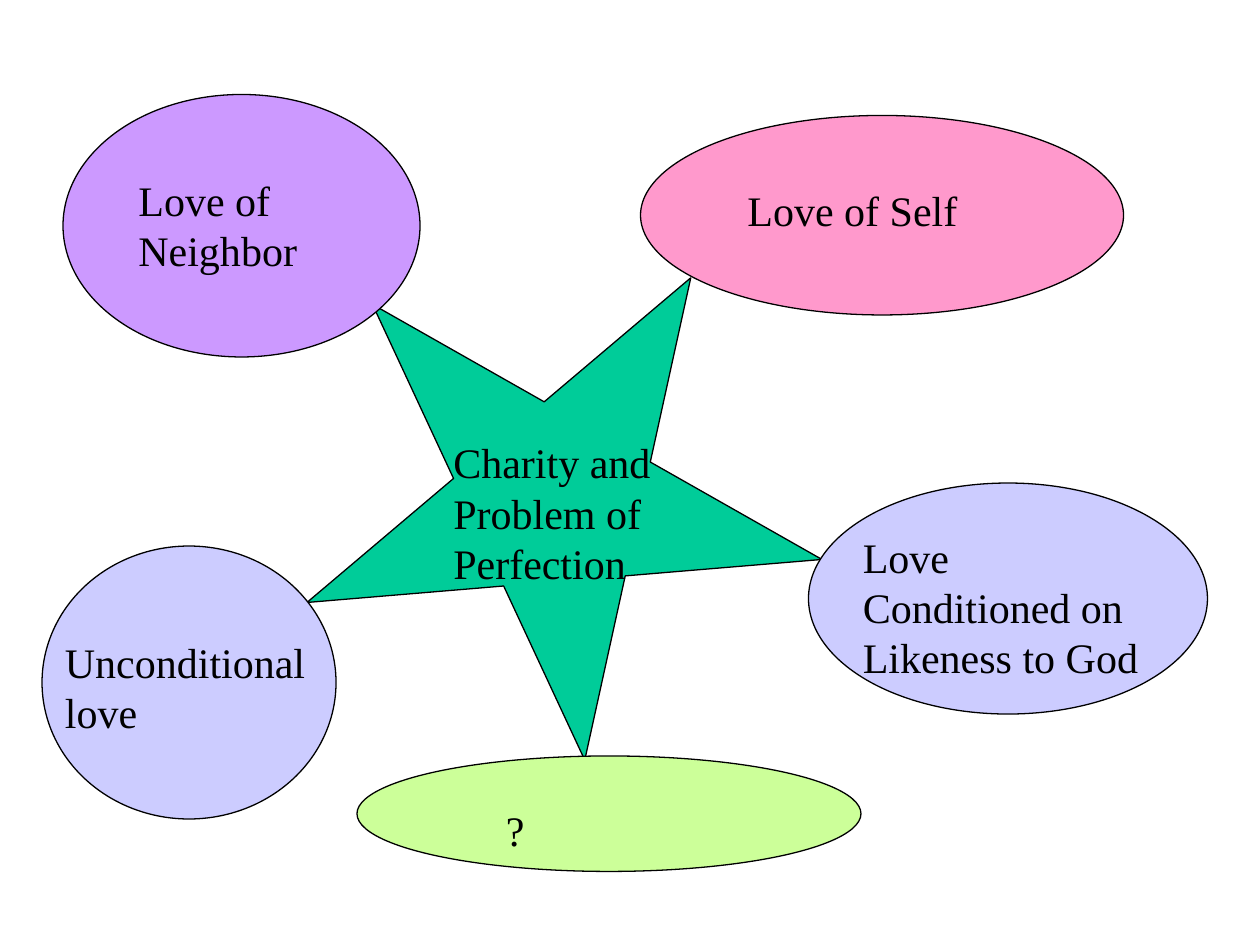
from typing import NamedTuple

from pptx import Presentation
from pptx import util as u
from pptx.dml.color import RGBColor
from pptx.enum import shapes, text

COLOURS = {
    "black": "000000",
    "green": "00CC99",
    "lavender": "CCCCFF",
    "purple": "CC99FF",
    "pink": "FF99CC",
    "lime": "CCFF99",
}
FONT = "Times New Roman"
FONT_SIZE = 24
LINE_HEIGHT = 28.8


class Box(NamedTuple):
    left: float
    top: float
    width: float
    height: float


class Idea(NamedTuple):
    words: str
    label: Box
    ellipse: Box
    colour: str


STAR = Box(190.8, 148.3, 282.2, 282.2)
STAR_ROTATION = 102.4
CENTRE_WORDS = "Charity and Problem of Perfection"
CENTRE_LABEL = Box(252, 246, 138, 94)

IDEAS = [
    Idea("Unconditional love", Box(30, 360, 168, 65), Box(24, 312, 168, 156), "lavender"),
    Idea("Love Conditioned on Likeness to God", Box(486, 300, 180, 94),
         Box(462, 276, 228, 132), "lavender"),
    Idea("Love of Neighbor", Box(72, 96, 120, 65), Box(36, 54, 204, 150), "purple"),
    Idea("Love of Self", Box(420, 102, 168, 36), Box(366, 66, 276, 114), "pink"),
    Idea("?", Box(282, 456, 144, 36), Box(204, 432, 288, 66), "lime"),
]


def colour_of(name: str) -> RGBColor:
    return RGBColor.from_string(COLOURS[name])


def add_outlined_shape(slide, kind, box: Box, colour: str, rotation: float = 0) -> None:
    shape = slide.shapes.add_shape(kind, *map(u.Pt, box))
    shape.shadow.inherit = False
    shape.rotation = rotation
    shape.fill.solid()
    shape.fill.fore_color.rgb = colour_of(colour)
    shape.line.color.rgb = colour_of("black")
    shape.line.width = u.Pt(0.75)


def add_label(slide, words: str, box: Box) -> None:
    frame = slide.shapes.add_textbox(*map(u.Pt, box)).text_frame
    frame.word_wrap = True
    frame.auto_size = text.MSO_AUTO_SIZE.SHAPE_TO_FIT_TEXT
    paragraph = frame.paragraphs[0]
    paragraph.line_spacing = u.Pt(LINE_HEIGHT)
    run = paragraph.add_run()
    run.text = words
    run.font.name = FONT
    run.font.size = u.Pt(FONT_SIZE)
    run.font.color.rgb = colour_of("black")


def main() -> None:
    presentation = Presentation()
    presentation.slide_width = u.Pt(720)
    presentation.slide_height = u.Pt(540)
    slide = presentation.slides.add_slide(presentation.slide_layouts[6])

    add_outlined_shape(slide, shapes.MSO_SHAPE.STAR_5_POINT, STAR, "green", STAR_ROTATION)
    add_label(slide, CENTRE_WORDS, CENTRE_LABEL)
    for idea in IDEAS:
        add_outlined_shape(slide, shapes.MSO_SHAPE.OVAL, idea.ellipse, idea.colour)
        add_label(slide, idea.words, idea.label)

    presentation.save("out.pptx")


if __name__ == "__main__":
    main()
